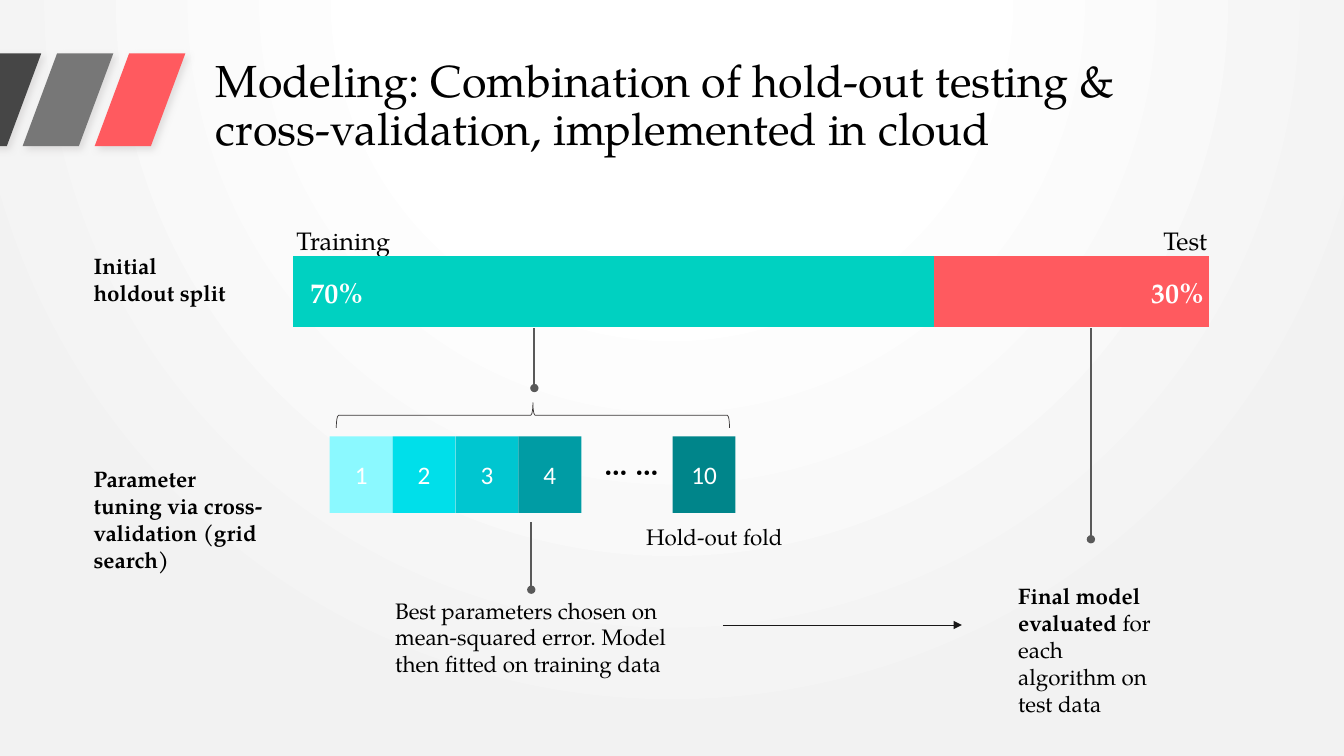
from lxml.etree import SubElement
from pptx import Presentation
from pptx.chart.data import CategoryChartData
from pptx.dml.color import RGBColor
from pptx.enum.chart import XL_CHART_TYPE
from pptx.enum.shapes import MSO_CONNECTOR, MSO_SHAPE
from pptx.enum.text import MSO_ANCHOR, MSO_AUTO_SIZE, PP_ALIGN
from pptx.oxml import parse_xml
from pptx.oxml.ns import nsdecls, qn
from pptx.util import Inches, Pt

SERIF = "TeX Gyre Pagella"
SANS = "Calibri"
BLACK = RGBColor(0x00, 0x00, 0x00)
WHITE = RGBColor(0xFF, 0xFF, 0xFF)
CORAL = RGBColor(0xFF, 0x5A, 0x5F)
TEAL = RGBColor(0x00, 0xD1, 0xC1)
CHARCOAL = RGBColor(0x46, 0x46, 0x46)
GRAY = RGBColor(0x77, 0x77, 0x77)
STEM = RGBColor(0x59, 0x59, 0x59)
BRACE = RGBColor(0x3B, 0x38, 0x38)
ARROW = RGBColor(0x18, 0x17, 0x17)
FOLD_COLORS = {
    "1": RGBColor(0x8B, 0xF9, 0xFF),
    "2": RGBColor(0x00, 0xDF, 0xEA),
    "3": RGBColor(0x00, 0xC6, 0xD0),
    "4": RGBColor(0x00, 0x9C, 0xA4),
    "10": RGBColor(0x00, 0x85, 0x8A),
}

prs = Presentation()
prs.slide_width, prs.slide_height = Inches(13.33), Inches(7.5)
slide = prs.slides.add_slide(prs.slide_layouts[5])
shapes = slide.shapes


def share(left, top, width, height):
    """Turn percentages of the slide's size into lengths."""
    across, down = prs.slide_width / 100, prs.slide_height / 100
    return (round(left * across), round(top * down),
            round(width * across), round(height * down))


def add_label(area, text, size=16, bold=False, color=BLACK, align=PP_ALIGN.LEFT):
    frame = shapes.add_textbox(*share(*area)).text_frame
    frame.word_wrap = True
    frame.text = text
    for paragraph in frame.paragraphs:
        paragraph.alignment = align
        font = paragraph.runs[0].font
        font.name, font.size, font.bold = SERIF, Pt(size), bold
        font.color.rgb = color
    return frame


# Background: soft radial gradient
slide.background.fill.gradient()
plain_gradient = slide.element.find(".//" + qn("a:gradFill"))
plain_gradient.getparent().replace(plain_gradient, parse_xml(
    f'<a:gradFill {nsdecls("a")} rotWithShape="1"><a:gsLst>'
    '<a:gs pos="0"><a:srgbClr val="FFFFFF"/></a:gs>'
    '<a:gs pos="35000"><a:srgbClr val="FFFFFF"/></a:gs>'
    '<a:gs pos="100000"><a:srgbClr val="F2F2F2"/></a:gs></a:gsLst>'
    '<a:path path="circle"><a:fillToRect l="50000" t="-80000" r="50000" b="180000"/>'
    '</a:path></a:gradFill>'))

# Title
title = shapes.title
title.left, title.top, title.width, title.height = share(15.3, 7.07, 77.2, 12.27)
heading = title.text_frame
heading.text = "Modeling: Combination of hold-out testing & cross-validation, implemented in cloud"
heading.word_wrap = True
heading.auto_size = MSO_AUTO_SIZE.NONE
heading.vertical_anchor = MSO_ANCHOR.TOP
heading.paragraphs[0].alignment = PP_ALIGN.LEFT
heading.paragraphs[0].line_spacing = 0.9
heading_font = heading.paragraphs[0].runs[0].font
heading_font.name, heading_font.size = SERIF, Pt(32)
heading_font.color.rgb = BLACK

# Slanted stripes beside the title
for i, color in enumerate([CHARCOAL, GRAY, CORAL]):
    stripe = shapes.add_shape(MSO_SHAPE.PARALLELOGRAM,
                              *share(-3.68 + 5.36 * i, 7.07, 6.75, 12.27))
    stripe.adjustments[0] = 0.38
    stripe.fill.solid()
    stripe.fill.fore_color.rgb = color
    stripe.line.fill.background()
    stripe.element.spPr.append(parse_xml(
        f'<a:effectLst {nsdecls("a")}>'
        f'<a:outerShdw blurRad="{Pt(5)}" dist="{Pt(3)}" dir="2700000" algn="tl" rotWithShape="0">'
        '<a:srgbClr val="D0CECE"><a:alpha val="60000"/></a:srgbClr>'
        '</a:outerShdw></a:effectLst>'))

# Cross-validation folds, with a gap before the last one
for i, (fold_number, color) in enumerate(FOLD_COLORS.items()):
    left = 50.04 if fold_number == "10" else 24.53 + 4.68 * i
    fold = shapes.add_shape(MSO_SHAPE.RECTANGLE, *share(left, 57.73, 4.68, 10.13))
    fold.shadow.inherit = False
    fold.fill.solid()
    fold.fill.fore_color.rgb = color
    fold.line.fill.background()
    fold.text_frame.text = fold_number
    fold.text_frame.vertical_anchor = MSO_ANCHOR.MIDDLE
    fold.text_frame.paragraphs[0].alignment = PP_ALIGN.CENTER
    fold_font = fold.text_frame.paragraphs[0].runs[0].font
    fold_font.name, fold_font.size = SANS, Pt(18)
    fold_font.color.rgb = WHITE

add_label((44.19, 58.53, 15.15, 6.67), "… …", 20, bold=True)
add_label((47.34, 68.53, 16.13, 5.6), "Hold-out fold")

# Brace over the folds
brace = shapes.add_shape(MSO_SHAPE.LEFT_BRACE, *share(38.71, 28.93, 1.88, 52))
brace.rotation = 90
brace.shadow.inherit = False
brace.fill.background()
brace.line.color.rgb = BRACE
brace.line.width = Pt(0.5)

# Split labels, drawn under the chart
add_label((21.31, 29.2, 16.58, 5.33), "Training", 18)
add_label((73.97, 29.2, 16.58, 5.33), "Test", 18, align=PP_ALIGN.RIGHT)

# Holdout split bar: the empty second category keeps it in the lower half
split = CategoryChartData()
split.categories = ["1", ""]
split.add_series("Series 1", [70, None])
split.add_series("Series 2", [30, None])
split.add_series("Series 3", [None, None])
chart = shapes.add_chart(XL_CHART_TYPE.BAR_STACKED_100,
                         *share(20.78, 13.87, 70.22, 33.6), split).chart
chart.has_legend = False
chart.has_title = False
chart.font.name, chart.font.size = SANS, Pt(18)
chart.font.color.rgb = BLACK
chart.category_axis.visible = False
chart.value_axis.visible = False
chart.value_axis.has_major_gridlines = False
plot = chart.plots[0]
plot.gap_width, plot.overlap = 55, 100
plot.vary_by_categories = False
for series, color in zip(plot.series, [CORAL, CORAL, TEAL]):
    series.format.fill.solid()
    series.format.fill.fore_color.rgb = color
training_bar = plot.series[0].points[0].format.fill
training_bar.solid()
training_bar.fore_color.rgb = TEAL

plot_area = chart.element.find(".//" + qn("c:plotArea"))
for old_layout in plot_area.findall(qn("c:layout")):
    plot_area.remove(old_layout)
plot_area.insert(0, parse_xml(
    f'<c:layout {nsdecls("c")}><c:manualLayout><c:layoutTarget val="inner"/>'
    '<c:xMode val="edge"/><c:yMode val="edge"/><c:x val="0.015"/><c:y val="0.087"/>'
    '<c:w val="0.97"/><c:h val="0.865"/></c:manualLayout></c:layout>'))

add_label((22.36, 35.73, 6.38, 5.87), "70%", 20, True, WHITE)
add_label((84.92, 35.73, 6.38, 5.87), "30%", 20, True, WHITE)

# Step names and explanations
add_label((6.23, 32.67, 11.33, 12.13), "Initial holdout split", bold=True)
add_label((6.23, 60.93, 14.33, 15.73),
          "Parameter tuning via cross-validation (grid search)", bold=True)
add_label((28.66, 78.27, 24.38, 12.13),
          "Best parameters chosen on\nmean-squared error. Model then fitted on training data")
final_model = add_label((75.02, 76.4, 12.3, 15.73), "Final model evaluated", bold=True)
final_rest = final_model.paragraphs[0].add_run()
final_rest.text = " for each algorithm on test data"
final_rest.font.name, final_rest.font.size = SERIF, Pt(16)
final_rest.font.bold = False
final_rest.font.color.rgb = BLACK

# Stems with a dot at their start, and the arrow to the final model
for ends, color, width, end_tag, end_type in [
    ((39.76, 51.33, 39.76, 43.33), STEM, 1.5, "a:headEnd", "oval"),
    ((81.17, 71.33, 81.17, 43.33), STEM, 1.5, "a:headEnd", "oval"),
    ((39.53, 78, 39.53, 69.07), STEM, 1.5, "a:headEnd", "oval"),
    ((53.79, 82.67, 71.57, 82.67), ARROW, 0.5, "a:tailEnd", "triangle"),
]:
    link = shapes.add_connector(MSO_CONNECTOR.STRAIGHT, *share(*ends))
    link.line.color.rgb = color
    link.line.width = Pt(width)
    outline = link.element.spPr.find(qn("a:ln"))
    SubElement(outline, qn(end_tag), type=end_type)
    SubElement(link.element.spPr, qn("a:effectLst"))

prs.save("out.pptx")
